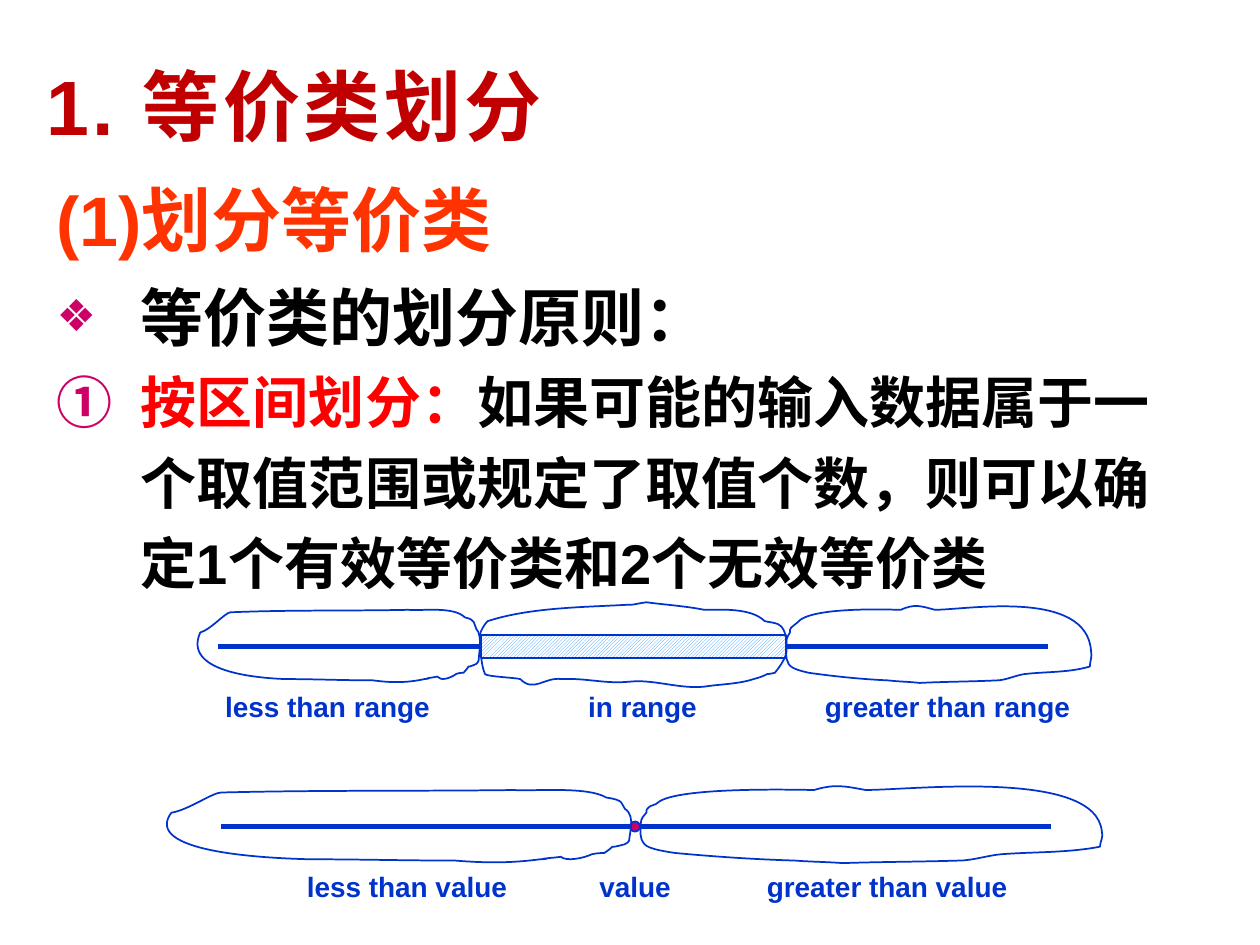
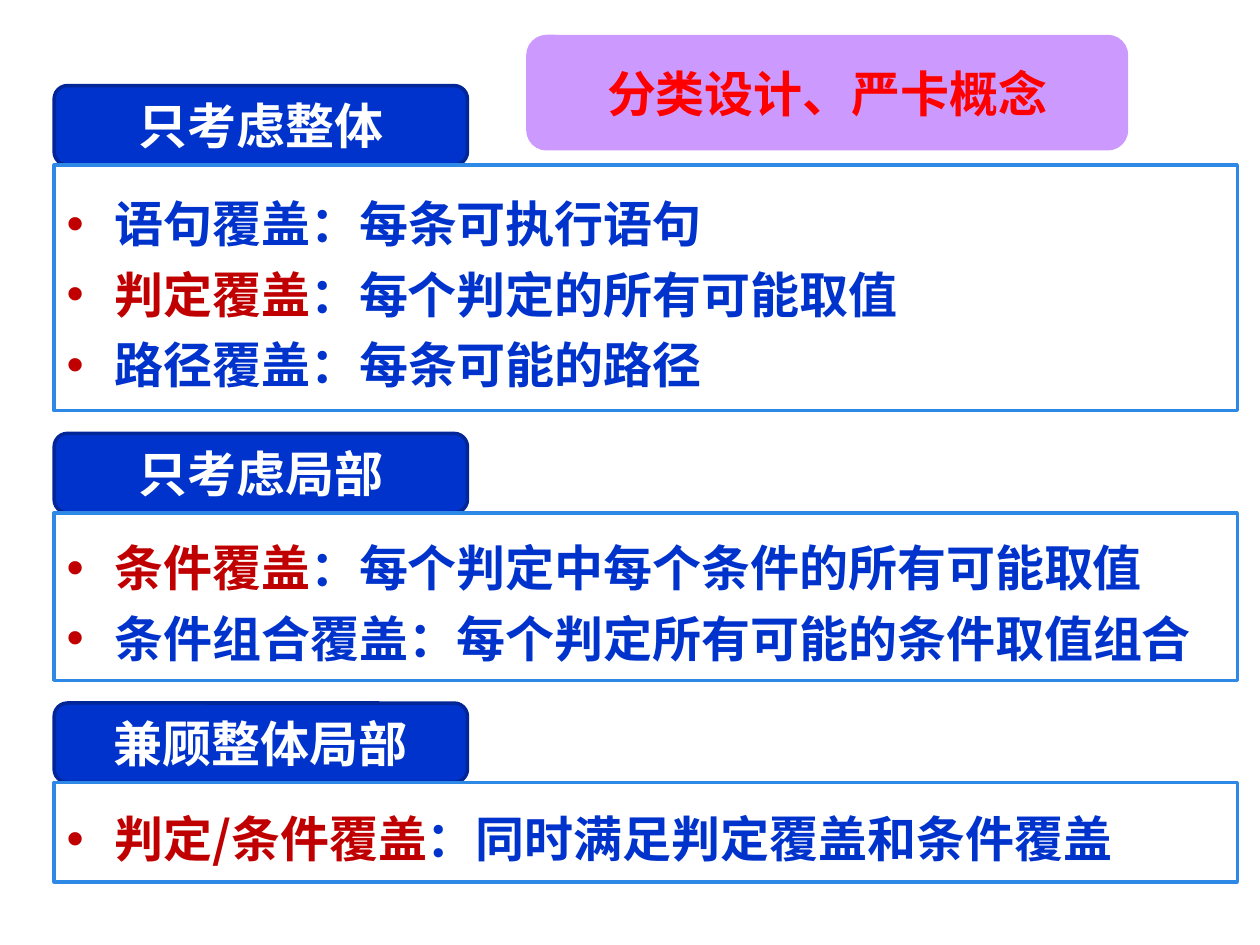
"""Build two slides on equivalence classes and coverage criteria."""
from dataclasses import dataclass

from lxml import etree
from pptx import Presentation
from pptx import util as u
from pptx.dml.color import RGBColor
from pptx.enum import dml, shapes, text
from pptx.oxml import ns

PX = 9144
BLUE, DARK_RED, RED, MAGENTA = "0033CC", "C00000", "FF0000", "CC0066"
BLACK, WHITE, ORANGE, LILAC = "000000", "FFFFFF", "FF3300", "CC99FF"
TAG_EDGE, PANEL_EDGE, HATCH = "002697", "2D89E5", "3399FF"
ARIAL, CJK = "Arial", "Noto Sans CJK SC"
BULLET_PITCH = 1.44

Box = tuple[int, int, int, int]
Points = list[tuple[int, int]]


@dataclass
class Run:
    words: str
    color: str
    font: str = CJK


@dataclass
class Para:
    runs: list[Run]
    size: int
    pitch: float = 0
    hanging: int = 0
    bullet: str = ""
    bullet_color: str = DARK_RED
    bullet_percent: int = 100
    after: float = 0
    align: text.PP_ALIGN = text.PP_ALIGN.LEFT


@dataclass
class Loop:
    outline: Points
    left: int
    right: int
    top: int


@dataclass
class Label:
    words: str
    center: int
    width: int


@dataclass
class Panel:
    heading: str
    height: int
    criteria: list[list[Run]]


LESS_OUTLINE: Points = [
    (381, 512), (381, 508), (381, 502), (378, 499), (376, 495), (378, 492), (369, 490),
    (360, 481), (335, 485), (324, 484), (277, 485), (230, 484), (183, 486),
    (179, 486), (167, 500), (159, 502), (145, 533), (202, 538), (226, 539),
    (249, 539), (273, 540), (296, 540), (311, 542), (323, 542), (337, 539),
    (345, 538), (336, 539), (338, 539), (339, 538), (343, 538), (347, 537),
    (350, 541), (358, 538), (362, 535), (364, 534), (368, 534), (368, 534),
    (376, 525), (367, 532), (378, 527), (379, 525), (379, 527), (380, 524),
    (380, 522), (381, 514), (381, 512)]
GREATER_OUTLINE: Points = [
    (715, 484), (709, 484), (643, 481), (633, 494), (632, 496), (629, 496), (628, 498),
    (627, 499), (627, 500), (627, 502), (626, 504), (624, 506), (624, 511),
    (624, 516), (623, 522), (626, 527), (628, 531), (638, 533), (642, 534),
    (664, 537), (683, 539), (705, 540), (713, 541), (721, 541), (730, 542),
    (750, 541), (770, 541), (791, 540), (798, 540), (806, 536), (813, 535),
    (830, 533), (848, 534), (865, 529), (865, 525), (867, 521), (866, 517),
    (863, 467), (767, 484), (742, 484), (731, 481), (726, 479), (715, 484)]
IN_OUTLINE: Points = [
    (498, 480), (463, 482), (421, 482), (387, 493), (385, 495), (381, 501), (381, 504),
    (382, 514), (381, 526), (385, 535), (386, 537), (411, 538), (413, 539),
    (424, 550), (432, 537), (446, 539), (466, 538), (480, 543), (500, 541),
    (519, 539), (539, 547), (559, 545), (571, 543), (586, 543), (598, 539),
    (602, 538), (605, 537), (609, 535), (611, 535), (615, 534), (615, 534),
    (619, 529), (622, 525), (624, 519), (625, 513), (624, 504), (622, 500),
    (619, 495), (618, 495), (607, 493), (596, 482), (571, 484), (559, 484),
    (544, 481), (528, 480), (513, 478), (500, 480), (505, 480), (498, 480)]


def px(length: float) -> u.Emu:
    """Turn px into EMU."""
    return u.Emu(round(length * PX))


def rgb(color: str) -> RGBColor:
    """Turn a hex string into a colour."""
    return RGBColor.from_string(color)


def add_child(parent, tag: str, **attributes: str):
    """Append a drawing element with its attributes."""
    return etree.SubElement(parent, ns.qn(tag), attributes)


def add_bullet(para, item: Para) -> None:
    """Give a paragraph its hanging indent and bullet."""
    props = para._p.get_or_add_pPr()
    props.set("marL", str(px(item.hanging)))
    props.set("indent", str(-px(item.hanging)))
    if not item.bullet:
        add_child(props, "a:buNone")
        return
    add_child(add_child(props, "a:buClr"), "a:srgbClr", val=item.bullet_color)
    add_child(props, "a:buSzPct", val=str(item.bullet_percent * 1000))
    if item.bullet.startswith("circle"):
        add_child(props, "a:buAutoNum", type=item.bullet)
    else:
        add_child(props, "a:buFont", typeface=ARIAL)
        add_child(props, "a:buChar", char=item.bullet)


def write(frame, items: list[Para], anchor: text.MSO_ANCHOR, wrap: bool = True) -> None:
    """Fill a text frame run by run."""
    frame.word_wrap = wrap
    frame.vertical_anchor = anchor
    for index, item in enumerate(items):
        para = frame.add_paragraph() if index else frame.paragraphs[0]
        para.alignment = item.align
        para.space_before, para.space_after = u.Pt(0), u.Pt(item.after)
        if item.pitch:
            para.line_spacing = u.Pt(item.size * item.pitch)
        add_bullet(para, item)
        for part in item.runs:
            run = para.add_run()
            run.text = part.words
            font = run.font
            font.size, font.bold = u.Pt(item.size), True
            font.color.rgb = rgb(part.color)
            font.name = part.font
            add_child(run._r.get_or_add_rPr(), "a:ea", typeface=CJK)


def outline(shape, color: str, width: float) -> None:
    """Set a shape's line and take off its shadow."""
    shape.shadow.inherit = False
    shape.line.color.rgb = rgb(color)
    shape.line.width = u.Pt(width)


def add_block(slide, kind: shapes.MSO_SHAPE, box: Box, fill: str, edge: str, width: float):
    """Draw a filled preset shape."""
    block = slide.shapes.add_shape(kind, *map(px, box))
    block.fill.solid()
    block.fill.fore_color.rgb = rgb(fill)
    outline(block, edge, width)
    return block


def add_loop(slide, loop: Loop) -> None:
    """Draw a closed curve, stretched to its left and right ends."""
    xs, ys = zip(*loop.outline)
    stretch = (loop.right - loop.left) / (max(xs) - min(xs))
    points = [(px(loop.left + (x - min(xs)) * stretch), px(loop.top + y - min(ys)))
              for x, y in loop.outline]
    builder = slide.shapes.build_freeform(*points[0])
    builder.add_line_segments(points[1:], close=True)
    curve = builder.convert_to_shape()
    curve.fill.background()
    outline(curve, BLUE, 1)
    steps = list(curve._element.iter(ns.qn("a:lnTo")))
    for start in range(0, len(steps), 3):
        bezier = etree.Element(ns.qn("a:cubicBezTo"))
        steps[start].addprevious(bezier)
        for step in steps[start:start + 3]:
            bezier.append(step[0])
            step.getparent().remove(step)


def add_axis(slide, left: int, right: int, y: int) -> None:
    """Draw a number line."""
    axis = slide.shapes.add_connector(
        shapes.MSO_CONNECTOR.STRAIGHT, px(left), px(y), px(right), px(y))
    axis.line.color.rgb = rgb(BLUE)
    axis.line.width = u.Pt(3)
    add_child(axis._element.spPr, "a:effectLst")


def add_label(slide, label: Label, top: int) -> None:
    """Write a centred caption under a number line."""
    caption = slide.shapes.add_textbox(
        *map(px, (label.center - label.width / 2, top, label.width, 37)))
    words = Para([Run(label.words, BLUE, ARIAL)], 16, align=text.PP_ALIGN.CENTER)
    write(caption.text_frame, [words], text.MSO_ANCHOR.TOP, wrap=False)
    caption.text_frame.auto_size = text.MSO_AUTO_SIZE.SHAPE_TO_FIT_TEXT


def build_partition(deck) -> None:
    """Build the slide on splitting by range."""
    slide = deck.slides.add_slide(deck.slide_layouts[5])
    title = slide.shapes.title
    title.left, title.top, title.width, title.height = map(px, (27, 21, 934, 125))
    write(title.text_frame, [Para([Run("1. 等价类划分", DARK_RED, ARIAL)], 44)],
          text.MSO_ANCHOR.MIDDLE)
    title.text_frame.paragraphs[0].runs[0]._r.get_or_add_rPr().set("spc", "200")

    principles = slide.shapes.add_textbox(*map(px, (35, 123, 921, 614)))
    write(principles.text_frame, [
        Para([Run("(1)划分等价类", ORANGE, ARIAL)], 40, 1.42, 67, after=1.5),
        Para([Run("等价类的划分原则：", BLACK)], 36, BULLET_PITCH, 67, "❖", MAGENTA, 70),
        Para([Run("按区间划分：", RED),
              Run("如果可能的输入数据属于一个取值范围或规定了取值个数，"
                  "则可以确定1个有效等价类和2个无效等价类", BLACK, ARIAL)],
             32, BULLET_PITCH, 67, "circleNumDbPlain", MAGENTA),
    ], text.MSO_ANCHOR.TOP)

    add_axis(slide, 173, 832, 513)
    valid_range = add_block(slide, shapes.MSO_SHAPE.RECTANGLE, (382, 504, 242, 18),
                            WHITE, BLUE, 1)
    valid_range.fill.patterned()
    valid_range.fill.pattern = dml.MSO_PATTERN.LIGHT_UPWARD_DIAGONAL
    valid_range.fill.fore_color.rgb = rgb(HATCH)
    valid_range.fill.back_color.rgb = rgb(WHITE)
    add_axis(slide, 175, 834, 656)
    add_block(slide, shapes.MSO_SHAPE.OVAL, (500, 652, 8, 8), MAGENTA, BLUE, 1)

    for loop in (Loop(IN_OUTLINE, 381, 625, 478),
                 Loop(GREATER_OUTLINE, 623, 867, 467),
                 Loop(LESS_OUTLINE, 145, 381, 481),
                 Loop(GREATER_OUTLINE, 507, 876, 610),
                 Loop(LESS_OUTLINE, 113, 501, 624)):
        add_loop(slide, loop)

    captions = {
        542: [Label("less than range", 260, 183), Label("in range", 510, 107),
              Label("greater than range", 752, 215)],
        685: [Label("less than value", 323, 180), Label("value", 504, 77),
              Label("greater than value", 704, 212)],
    }
    for top, labels in captions.items():
        for label in labels:
            add_label(slide, label, top)


def add_heading(slide, box: Box, words: Run, fill: str, edge: str) -> None:
    """Draw a rounded block with centred words."""
    block = add_block(slide, shapes.MSO_SHAPE.ROUNDED_RECTANGLE, box, fill, edge, 2)
    write(block.text_frame, [Para([words], 28, align=text.PP_ALIGN.CENTER)],
          text.MSO_ANCHOR.MIDDLE)


def build_coverage(deck) -> None:
    """Build the slide that sorts the coverage criteria."""
    slide = deck.slides.add_slide(deck.slide_layouts[6])
    panels = [
        Panel("只考虑整体", 195, [
            [Run("语句覆盖：每条可执行语句", BLUE)],
            [Run("判定覆盖", DARK_RED), Run("：每个判定的所有可能取值", BLUE)],
            [Run("路径覆盖：每条可能的路径", BLUE)]]),
        Panel("只考虑局部", 133, [
            [Run("条件覆盖", DARK_RED), Run("：每个判定中每个条件的所有可能取值", BLUE)],
            [Run("条件组合覆盖：每个判定所有可能的条件取值组合", BLUE)]]),
        Panel("兼顾整体局部", 79, [
            [Run("判定/条件覆盖", DARK_RED), Run("：同时满足判定覆盖和条件覆盖", BLUE)]]),
    ]
    left, top, heading_height, gap = 43, 68, 63, 18
    for panel in panels:
        add_heading(slide, (left, top, 328, heading_height),
                    Run(panel.heading, WHITE), BLUE, TAG_EDGE)
        top += heading_height
        body = add_block(slide, shapes.MSO_SHAPE.RECTANGLE, (left, top, 939, panel.height),
                         WHITE, PANEL_EDGE, 2)
        write(body.text_frame,
              [Para(runs, 28, BULLET_PITCH, 38, "•") for runs in panel.criteria],
              text.MSO_ANCHOR.MIDDLE)
        top += panel.height + gap
    add_heading(slide, (419, 29, 475, 89), Run("分类设计、严卡概念", RED, ARIAL), LILAC, LILAC)


def main() -> None:
    """Build and save the deck."""
    deck = Presentation()
    deck.slide_width, deck.slide_height = px(1000), px(750)
    build_partition(deck)
    build_coverage(deck)
    deck.save("out.pptx")


if __name__ == "__main__":
    main()
